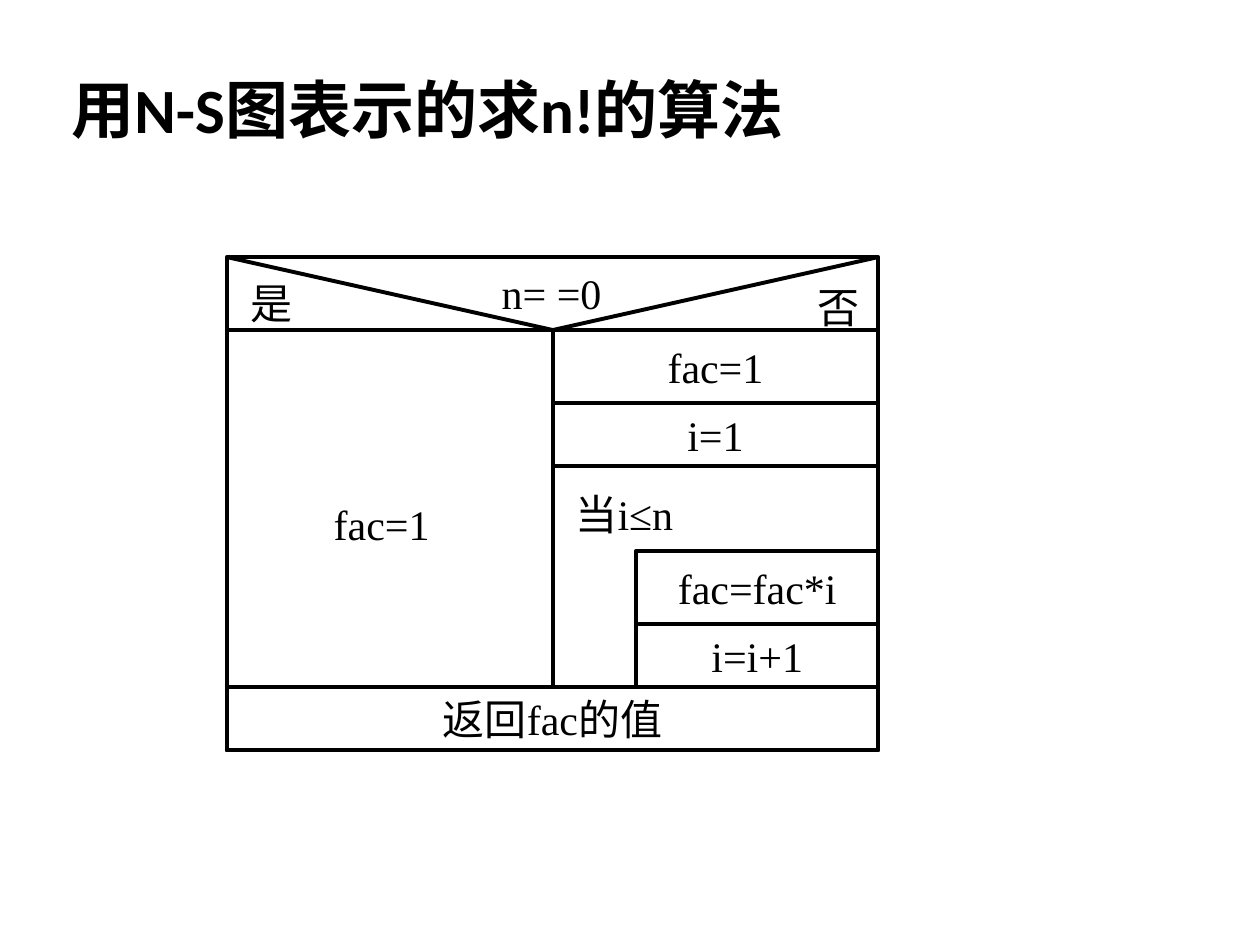
from dataclasses import dataclass

from lxml import etree
from pptx import Presentation
from pptx.dml.color import RGBColor
from pptx.enum import shapes, text
from pptx.oxml.ns import qn
from pptx.util import Pt

COLORS = {"ink": "000000"}
LEFT, MIDDLE, INNER, RIGHT = 129.6, 315.9, 363.6, 501.9
TOP, BRANCH, RETURN, BOTTOM = 146.9, 188.6, 392.6, 428.8
TALL, SHORT = 41.8, 36.1
LOOP = RETURN - SHORT - TALL
LINE_WIDTH = 2.25


@dataclass(frozen=True)
class Cell:
    left: float
    top: float
    width: float
    height: float
    words: str = ""


@dataclass(frozen=True)
class Rule:
    x1: float
    y1: float
    x2: float
    y2: float


TITLE = Cell(33.8, 33.8, 652.3, 54, "用N-S图表示的求n!的算法")
STEPS = [
    Cell(LEFT, TOP, RIGHT - LEFT, BOTTOM - TOP),
    Cell(LEFT, RETURN, RIGHT - LEFT, BOTTOM - RETURN, "返回fac的值"),
    Cell(INNER, LOOP + TALL, RIGHT - INNER, SHORT, "i=i+1"),
    Cell(INNER, LOOP, RIGHT - INNER, TALL, "fac=fac*i"),
    Cell(MIDDLE, BRANCH, RIGHT - MIDDLE, TALL, "fac=1"),
    Cell(MIDDLE, BRANCH + TALL, RIGHT - MIDDLE, SHORT, "i=1"),
]
RULES = [
    Rule(LEFT, BRANCH, RIGHT, BRANCH),
    Rule(MIDDLE, BRANCH, RIGHT, TOP),
    Rule(MIDDLE, BRANCH, LEFT, TOP),
    Rule(MIDDLE, BRANCH, MIDDLE, RETURN),
]
LABELS = [
    Cell(183.6, 281.1, 90, 36, "fac=1"),
    Cell(136.1, 155.1, 36, 36, "是"),
    Cell(460.1, 157.3, 36, 36, "否"),
    Cell(279.6, 149.4, 78, 36, "n= =0"),
    Cell(321.8, 275.4, 90, 36, "当i≤n"),
]


def ink() -> RGBColor:
    """Return the colour of lines and text."""
    return RGBColor.from_string(COLORS["ink"])


def write(shape, words: str, *, font="Times New Roman", size=24, bold=False,
          align=text.PP_ALIGN.LEFT, anchor=text.MSO_ANCHOR.TOP,
          wrap=True, spacing=1.0) -> None:
    """Put formatted text into a shape."""
    frame = shape.text_frame
    frame.word_wrap = wrap
    frame.vertical_anchor = anchor
    line = frame.paragraphs[0]
    line.alignment = align
    line.line_spacing = spacing
    run = line.add_run()
    run.text = words
    run.font.name = font
    run.font.size = Pt(size)
    run.font.bold = bold
    run.font.color.rgb = ink()


def outline(shape) -> None:
    """Give a shape or connector the diagram's line."""
    shape.line.color.rgb = ink()
    shape.line.width = Pt(LINE_WIDTH)


def place(cell: Cell) -> tuple:
    """Return the position and size of a cell as lengths."""
    return tuple(Pt(v) for v in (cell.left, cell.top, cell.width, cell.height))


def draw_step(slide, step: Cell) -> None:
    """Draw an outlined box with centred text."""
    box = slide.shapes.add_shape(shapes.MSO_SHAPE.RECTANGLE, *place(step))
    box.shadow.inherit = False
    box.fill.background()
    outline(box)
    if step.words:
        write(box, step.words, align=text.PP_ALIGN.CENTER,
              anchor=text.MSO_ANCHOR.MIDDLE, wrap=False)


def draw_rule(slide, rule: Rule) -> None:
    """Draw a straight line without shadow."""
    ends = (Pt(v) for v in (rule.x1, rule.y1, rule.x2, rule.y2))
    link = slide.shapes.add_connector(shapes.MSO_CONNECTOR.STRAIGHT, *ends)
    outline(link)
    etree.SubElement(link._element.spPr, qn("a:effectLst"))


def draw_label(slide, label: Cell, **style) -> None:
    """Draw free-standing text."""
    write(slide.shapes.add_textbox(*place(label)), label.words, **style)


def main() -> None:
    """Build the slide and save it."""
    deck = Presentation()
    deck.slide_width, deck.slide_height = Pt(720), Pt(540)
    slide = deck.slides.add_slide(deck.slide_layouts[6])
    draw_label(slide, TITLE, font="Calibri", size=36, bold=True,
               anchor=text.MSO_ANCHOR.BOTTOM, spacing=0.9)
    for step in STEPS:
        draw_step(slide, step)
    for rule in RULES:
        draw_rule(slide, rule)
    for label in LABELS:
        draw_label(slide, label)
    deck.save("out.pptx")


if __name__ == "__main__":
    main()
